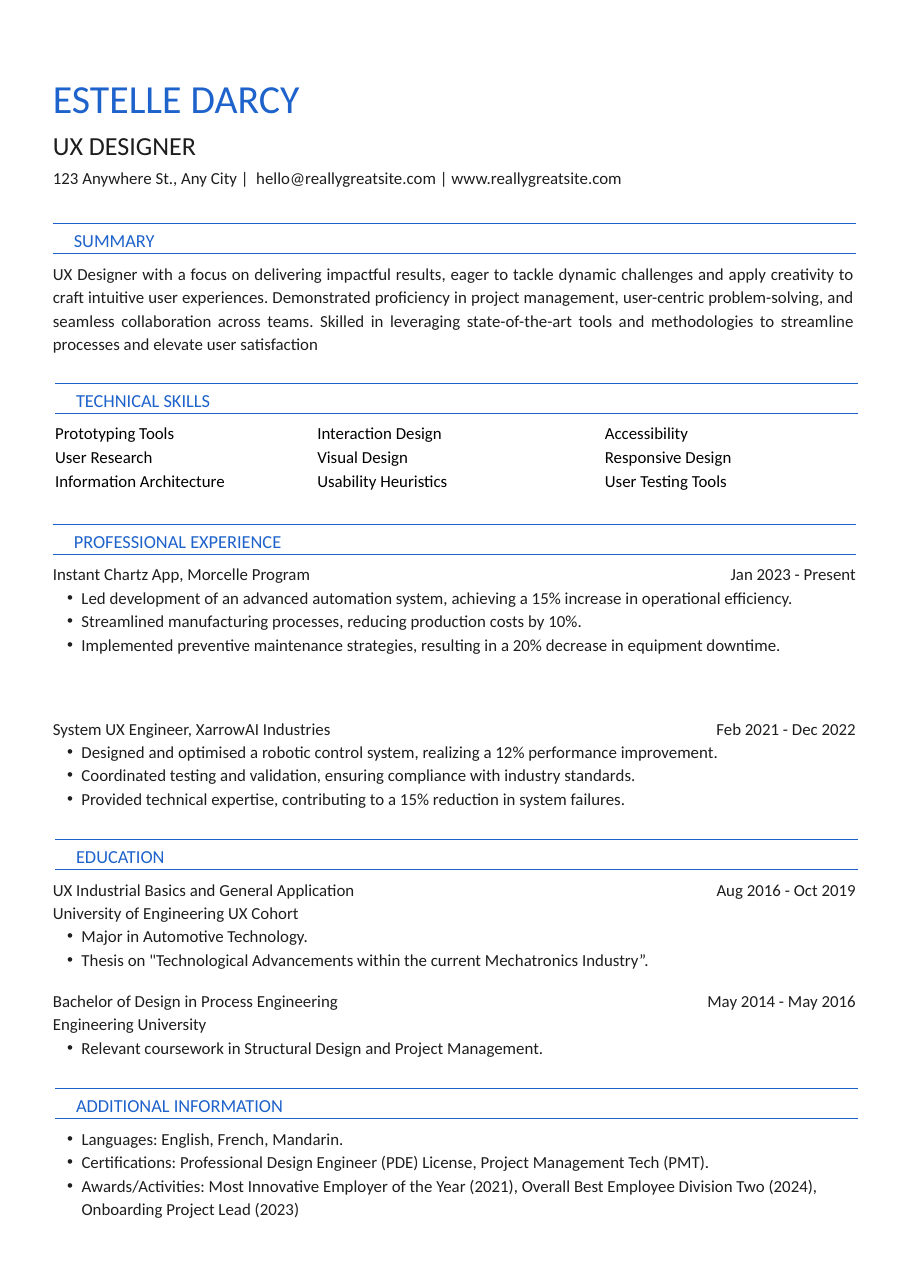
import lxml.etree
import pptx
import pptx.dml.color
import pptx.enum.shapes
import pptx.enum.text
import pptx.oxml.ns
import pptx.util

PX = 9144  # EMU per px, 100 px to the inch
FONT = "Calibri"
COLORS = {"accent": "1E62CB", "text": "1E1E1E", "skills": "000000"}
ALIGN = pptx.enum.text.PP_ALIGN
LEFT, WIDTH, LIST_WIDTH = 48, 728, 697
HEADING_INDENT, BULLET_INDENT, BULLET_HANG = 19, 26, 13

prs = pptx.Presentation()
prs.slide_width = 826 * PX
prs.slide_height = 1169 * PX
s = prs.slides.add_slide(prs.slide_layouts[1])


def write(box, lines, size=11, color="text", align=ALIGN.LEFT, indent=0, plain=None, sp=None):
    """Write lines into box (left, top, width, height); those after the first `plain` get bullets."""
    left, top, width, height = (n * PX for n in box)
    if sp is None:
        sp = s.shapes.add_textbox(left, top, width, height)
    sp.left, sp.top, sp.width, sp.height = left, top, width, height
    tf = sp.text_frame
    tf.word_wrap = True
    tf.auto_size = pptx.enum.text.MSO_AUTO_SIZE.SHAPE_TO_FIT_TEXT
    tf.vertical_anchor = pptx.enum.text.MSO_ANCHOR.TOP
    tf.margin_left = tf.margin_top = tf.margin_right = tf.margin_bottom = 0
    tf.text = "\n".join(lines)
    for i, p in enumerate(tf.paragraphs):
        p.alignment = align
        p.line_spacing = pptx.util.Pt(size * 1.4)
        p.space_before = pptx.util.Pt(0)
        for r in p.runs:
            r.font.name = FONT
            r.font.size = pptx.util.Pt(size)
            r.font.color.rgb = pptx.dml.color.RGBColor.from_string(COLORS[color])
        pPr = p._p.get_or_add_pPr()
        pPr.set("marL", str(indent * PX))
        if plain is not None and i >= plain:
            pPr.set("marL", str(BULLET_INDENT * PX))
            pPr.set("indent", str(-BULLET_HANG * PX))
            qn = pptx.oxml.ns.qn
            lxml.etree.SubElement(pPr, qn("a:buFont"), typeface="Arial")
            lxml.etree.SubElement(pPr, qn("a:buChar"), char="•")


# Name and contact details
write((LEFT, 60, WIDTH, 49), ["ESTELLE DARCY"], size=26, color="accent", sp=s.shapes.title)
write((LEFT, 113, WIDTH, 31), ["UX DESIGNER"], size=17)
write((LEFT, 149, WIDTH, 20),
      ["123 Anywhere St., Any City |  hello@reallygreatsite.com | www.reallygreatsite.com"])

# Section headings between two rules
sections = [
    ("SUMMARY", 48, 203),
    ("TECHNICAL SKILLS", 50, 348),
    ("PROFESSIONAL EXPERIENCE", 48, 476),
    ("EDUCATION", 50, 762),
    ("ADDITIONAL INFORMATION", 50, 988),
]
for heading, left, top in sections:
    for y in (top, top + 27):
        rule = s.shapes.add_connector(pptx.enum.shapes.MSO_CONNECTOR.STRAIGHT,
                                      left * PX, y * PX, (left + 729) * PX, y * PX)
        rule.line.width = pptx.util.Pt(0.75)
        rule.line.color.rgb = pptx.dml.color.RGBColor.from_string(COLORS["accent"])
        lxml.etree.SubElement(rule._element.spPr, pptx.oxml.ns.qn("a:effectLst"))
    write((left, top + 2, WIDTH, 22), [heading], size=12, color="accent", indent=HEADING_INDENT)

# Summary
write((LEFT, 236, WIDTH, 82), [
    "UX Designer with a focus on delivering impactful results, eager to tackle dynamic "
    "challenges and apply creativity to craft intuitive user experiences. Demonstrated "
    "proficiency in project management, user-centric problem-solving, and seamless "
    "collaboration across teams. Skilled in leveraging state-of-the-art tools and "
    "methodologies to streamline processes and elevate user satisfaction",
], align=ALIGN.JUSTIFY)

# Technical skills
skills = [
    (50, ["Prototyping Tools", "User Research", "Information Architecture"]),
    (288, ["Interaction Design", "Visual Design", "Usability Heuristics"]),
    (549, ["Accessibility", "Responsive Design", "User Testing Tools"]),
]
for left, column in skills:
    write((left, 381, 228, 62), column, color="skills")

# Jobs and degrees: top, name, dates, unbulleted lines, details
entries = [
    (509, "Instant Chartz App, Morcelle Program", "Jan 2023 - Present", 0, [
        "Led development of an advanced automation system, achieving a 15% increase in "
        "operational efficiency.",
        "Streamlined manufacturing processes, reducing production costs by 10%.",
        "Implemented preventive maintenance strategies, resulting in a 20% decrease in "
        "equipment downtime.",
    ]),
    (649, "System UX Engineer, XarrowAI Industries", "Feb 2021 - Dec 2022", 0, [
        "Designed and optimised a robotic control system, realizing a 12% performance "
        "improvement.",
        "Coordinated testing and validation, ensuring compliance with industry standards.",
        "Provided technical expertise, contributing to a 15% reduction in system failures.",
    ]),
    (795, "UX Industrial Basics and General Application", "Aug 2016 - Oct 2019", 1, [
        "University of Engineering UX Cohort",
        "Major in Automotive Technology.",
        'Thesis on "Technological Advancements within the current Mechatronics Industry”.',
    ]),
    (896, "Bachelor of Design in Process Engineering", "May 2014 - May 2016", 1, [
        "Engineering University",
        "Relevant coursework in Structural Design and Project Management.",
    ]),
]
for top, name, dates, plain, details in entries:
    write((LEFT, top, 492, 20), [name])
    write((580, top, 197, 20), [dates], align=ALIGN.RIGHT)
    write((LEFT, top + 21, LIST_WIDTH, 21 * len(details)), details, plain=plain)

# Additional information
write((LEFT, 1021, LIST_WIDTH, 82), [
    "Languages: English, French, Mandarin.",
    "Certifications: Professional Design Engineer (PDE) License, Project Management Tech (PMT).",
    "Awards/Activities: Most Innovative Employer of the Year (2021), Overall Best Employee "
    "Division Two (2024), Onboarding Project Lead (2023)",
], plain=0, sp=s.placeholders[1])

prs.save("out.pptx")
